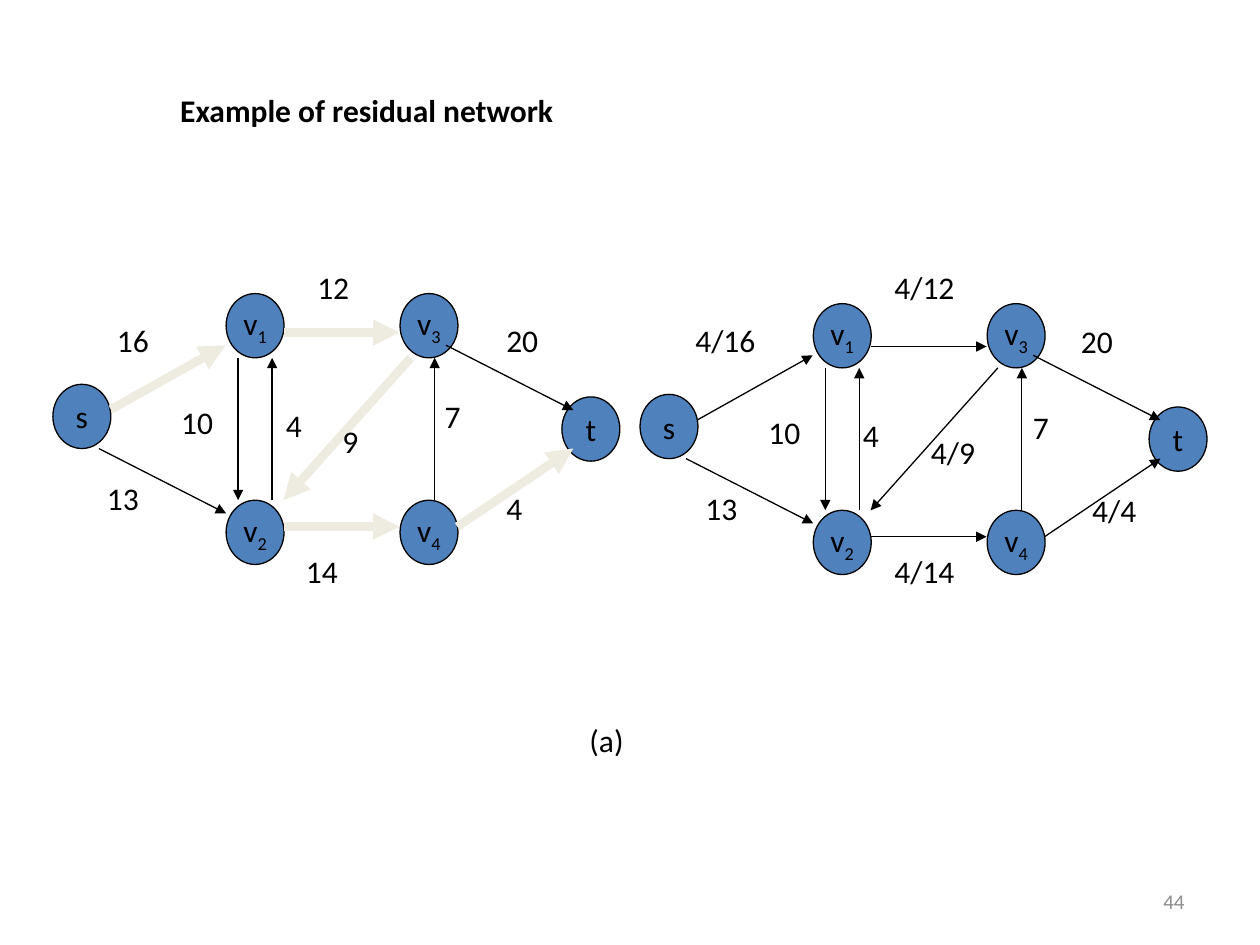
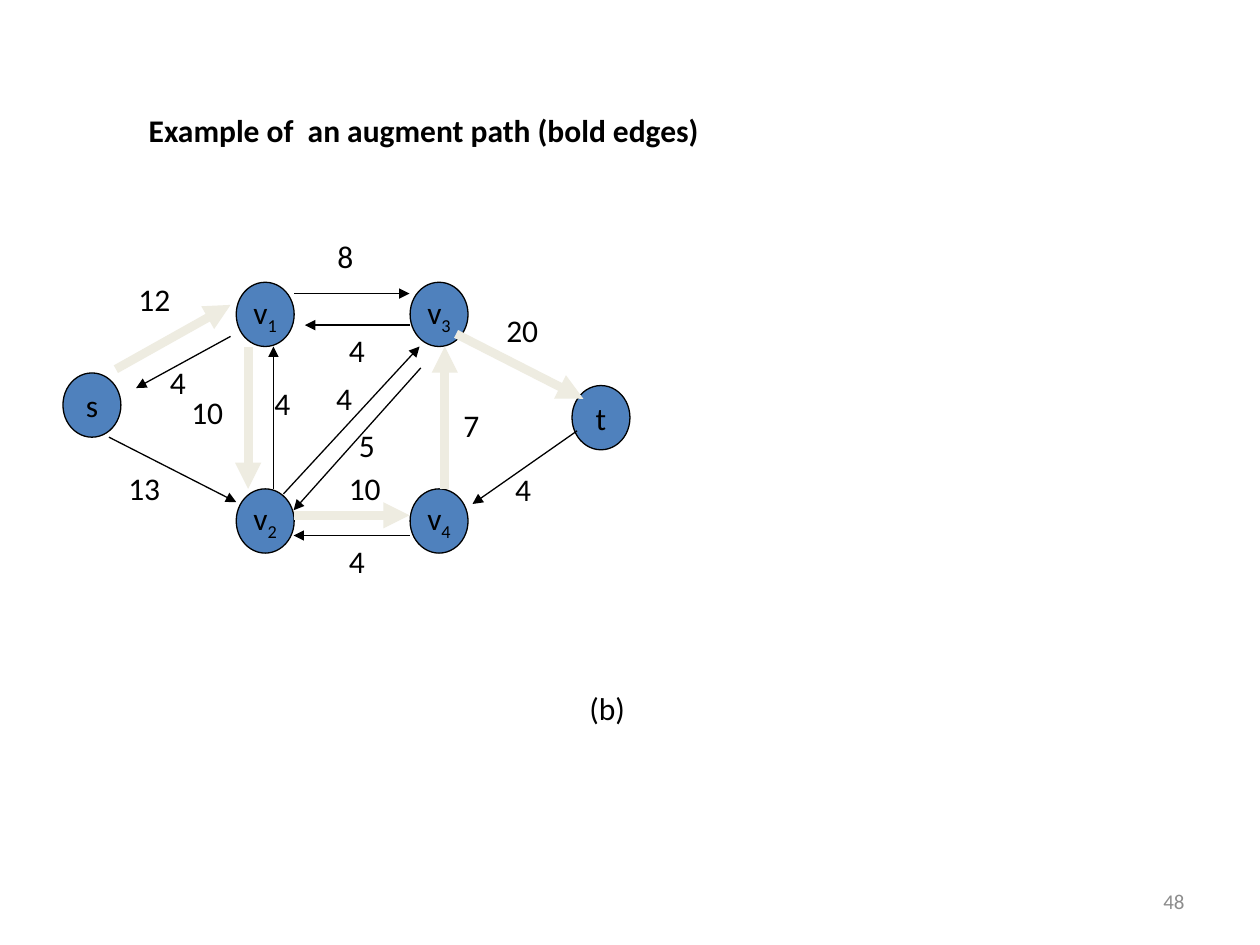
from lxml import etree
from pptx import Presentation
from pptx.dml.color import RGBColor as RGB
from pptx.enum.shapes import MSO_CONNECTOR as LINE, MSO_SHAPE as SHAPE
from pptx.enum.text import MSO_ANCHOR as ANCHOR, MSO_AUTO_SIZE as FIT, PP_ALIGN as ALIGN
from pptx.oxml.ns import qn
from pptx.util import Inches, Pt

COLORS = {"ink": "000000", "node": "4F81BD", "bold edge": "EEECE1", "number": "8C8C8C"}
FONT = "Calibri"
COLUMNS = 100  # square cells, so the slide is 100 columns by 75 rows

# Network geometry in cells, measured from the top left of node s
NODE_SIZE = (4.6, 5.1)
NODES = {"s": (0, 0), "v1": (13.75, -7.2), "v2": (13.75, 9.2),
         "v3": (27.55, -7.2), "v4": (27.55, 9.2), "t": (40.4, 1)}
ROUTES = {
    "s v1": (4.6, 2, 13.7, -3.1), "s v2": (3.65, 5.1, 13.75, 10.25),
    "v1 v2": (14.7, -2.1, 14.7, 9.2), "v2 v1": (17.4, 9.2, 17.4, -2.1),
    "v1 v3": (18.35, -4.1, 27.5, -4.1), "v3 v2": (28.4, -2.1, 18.3, 9.2),
    "v2 v4": (18.35, 11.3, 27.5, 11.3), "v4 v3": (30.3, 9.2, 30.3, -2.1),
    "v3 t": (31.2, -3.1, 41.3, 2.05), "v4 t": (32.1, 11.3, 41.3, 5.1),
    # Reverse edges that appear after augmenting
    "v1 s": (13.3, -2.9, 5.8, 1.2), "v3 v1": (27.5, -3.8, 19.2, -3.8),
    "v2 v3": (17.5, 9.6, 28.3, -2.1), "v4 v2": (27.5, 12.9, 18.3, 12.9),
    "t v4": (40.8, 4.6, 32.5, 10.4),
}

# Edges: route -> (label, label column, label row)
SLIDES = [
    {
        "title": "Example of residual network", "title at": (13.3, 6.7, 70, 5),
        "caption": "(a)", "caption at": (45.8, 56.7), "number": "44",
        "networks": [
            {
                "origin": (4.2, 30.5),
                "bold": {"s v1", "v1 v3", "v3 v2", "v2 v4", "v4 t"},
                "edges": {
                    "s v1": ("16", 8.3, 25), "s v2": ("13", 7.5, 37.5),
                    "v1 v2": ("10", 13.4, 31.5), "v2 v1": ("4", 21.7, 31.7),
                    "v1 v3": ("12", 24.2, 20.8), "v3 v2": ("9", 26.2, 33),
                    "v2 v4": ("14", 23.3, 43.3), "v4 v3": ("7", 34.3, 31),
                    "v3 t": ("20", 39.2, 25), "v4 t": ("4", 39.2, 38.3),
                },
            },
            {
                "origin": (50.8, 31.3), "shifts": {"v1 v3": (0, 0.3)},
                "edges": {
                    "s v1": ("4/16", 54.2, 25), "s v2": ("13", 55, 38.3),
                    "v1 v2": ("10", 60, 32.3), "v2 v1": ("4", 67.5, 32.5),
                    "v1 v3": ("4/12", 70, 20.8), "v3 v2": ("4/9", 72.9, 33.9),
                    "v2 v4": ("4/14", 70, 43.3), "v4 v3": ("7", 81, 31.9),
                    "v3 t": ("20", 84.8, 25.1), "v4 t": ("4/4", 85.7, 38.5),
                },
            },
        ],
    },
    {
        "title": "Example of  an augment path (bold edges)",
        "title at": (10.8, 8.3, 71.7, 5),
        "caption": "(b)", "caption at": (45.8, 54.2), "number": "48",
        "networks": [
            {
                "origin": (5, 29.6),
                "bold": {"s v1", "v1 v2", "v2 v4", "v4 v3", "v3 t"},
                "shifts": {"s v1": (-0.4, -2.3), "v1 v3": (0, -2.2),
                           "v2 v1": (-0.7, 0), "v3 v2": (0, 1.7)},
                "edges": {
                    "s v1": ("12", 10, 21.7), "v1 s": ("4", 12.5, 28.3),
                    "s v2": ("13", 9.2, 36.7), "v1 v3": ("8", 25.8, 18.3),
                    "v3 v1": ("4", 26.7, 25.8), "v1 v2": ("10", 14.2, 30.7),
                    "v2 v1": ("4", 20.8, 30), "v2 v3": ("4", 25.7, 29.6),
                    "v3 v2": ("5", 27.5, 33.3), "v2 v4": ("10", 26.7, 36.7),
                    "v4 v2": ("4", 26.7, 42.5), "v4 v3": ("7", 35.8, 31.7),
                    "v3 t": ("20", 39.2, 24.2), "t v4": ("4", 39.9, 36.8),
                },
            },
        ],
    },
]


class Deck:
    """Holds the style and the current slide."""

    def __init__(self):
        self.prs = Presentation()
        self.prs.slide_width, self.prs.slide_height = Inches(10), Inches(7.5)
        self.cell = self.prs.slide_width / COLUMNS
        self.slide = None

    def cells(self, *counts):
        return [round(count * self.cell) for count in counts]

    def new_slide(self):
        self.slide = self.prs.slides.add_slide(self.prs.slide_layouts[5])

    def add_words(self, paragraph, words, color="ink", size=18, bold=False, baseline=0):
        run = paragraph.add_run()
        run.text = words
        style = {"name": FONT, "size": Pt(size), "bold": bold}
        for key, value in style.items():
            setattr(run.font, key, value)
        run.font.color.rgb = RGB.from_string(COLORS[color])
        if baseline:
            run._r.get_or_add_rPr().set("baseline", str(baseline))

    def fill_frame(self, frame, words, align=ALIGN.LEFT, layout=None, **style):
        settings = {"word_wrap": True, "vertical_anchor": ANCHOR.TOP,
                    "auto_size": FIT.NONE, **(layout or {})}
        for key, value in settings.items():
            setattr(frame, key, value)
        paragraph = frame.paragraphs[0]
        paragraph.alignment = align
        self.add_words(paragraph, words, **style)
        return paragraph

    def title(self, words, place):
        heading = self.slide.shapes.title
        for key, value in zip(("left", "top", "width", "height"), self.cells(*place)):
            setattr(heading, key, value)
        self.fill_frame(heading.text_frame, words, bold=True)

    def label(self, words, left, top, parent=None):
        width = 2.1 + sum(1 if mark in "/()" else 1.6 for mark in words)
        box = (parent or self.slide).shapes.add_textbox(*self.cells(left, top, width, 5))
        self.fill_frame(box.text_frame, words, layout={
            "word_wrap": False, "auto_size": FIT.SHAPE_TO_FIT_TEXT})

    def slide_number(self, words):
        box = self.slide.shapes.add_textbox(*self.cells(71.7, 69.5, 23.3, 4))
        self.fill_frame(box.text_frame, words, ALIGN.RIGHT,
                        {"vertical_anchor": ANCHOR.MIDDLE}, color="number", size=12)

    def node(self, name, left, top, parent):
        node = parent.shapes.add_shape(SHAPE.OVAL, *self.cells(left, top, *NODE_SIZE))
        node.shadow.inherit = False
        node.fill.solid()
        node.fill.fore_color.rgb = RGB.from_string(COLORS["node"])
        node.line.color.rgb = RGB.from_string(COLORS["ink"])
        node.line.width = Pt(0.75)
        paragraph = self.fill_frame(
            node.text_frame, name[0], ALIGN.CENTER,
            {"word_wrap": False, "vertical_anchor": ANCHOR.MIDDLE})
        if name[1:]:
            self.add_words(paragraph, name[1:], baseline=-25000)

    def edge(self, ends, bold, parent):
        edge = parent.shapes.add_connector(LINE.STRAIGHT, *self.cells(*ends))
        edge.line.color.rgb = RGB.from_string(COLORS["bold edge" if bold else "ink"])
        edge.line.width = Pt(5 if bold else 0.75)
        properties = edge._element.spPr
        etree.SubElement(properties.find(qn("a:ln")), qn("a:tailEnd")).set("type", "triangle")
        etree.SubElement(properties, qn("a:effectLst"))

    def network(self, origin, edges, bold=(), shifts=None):
        group = self.slide.shapes.add_group_shape()
        x, y = origin
        for name, (dx, dy) in NODES.items():
            self.node(name, x + dx, y + dy, group)
        for route, (words, left, top) in edges.items():
            sx, sy = (shifts or {}).get(route, (0, 0))
            x1, y1, x2, y2 = ROUTES[route]
            ends = (x + sx + x1, y + sy + y1, x + sx + x2, y + sy + y2)
            self.edge(ends, route in bold, group)
            self.label(words, left, top, group)


def main():
    deck = Deck()
    for content in SLIDES:
        deck.new_slide()
        deck.title(content["title"], content["title at"])
        for network in content["networks"]:
            deck.network(**network)
        deck.label(content["caption"], *content["caption at"])
        deck.slide_number(content["number"])
    deck.prs.save("out.pptx")


if __name__ == "__main__":
    main()
